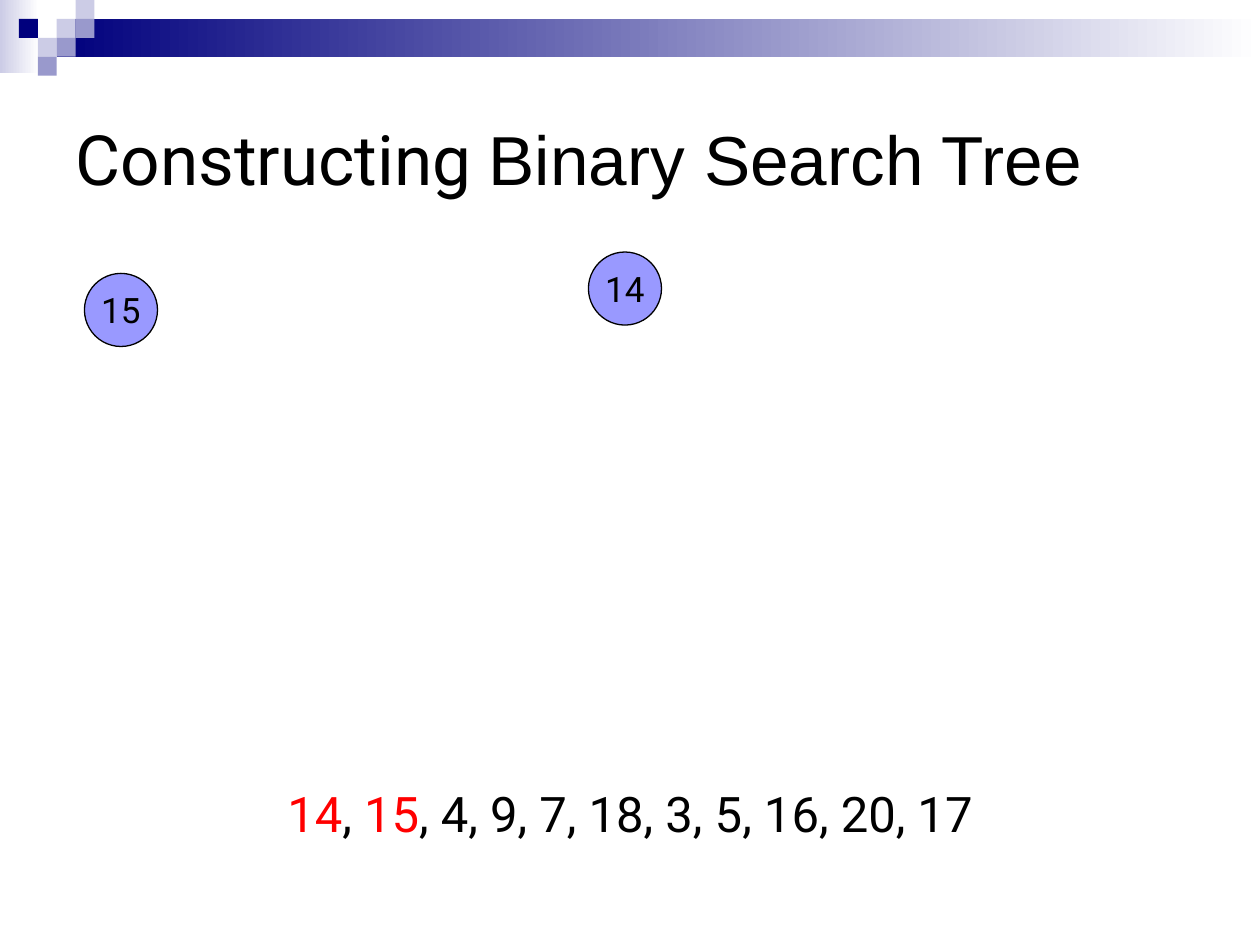
from dataclasses import dataclass

from pptx import Presentation
from pptx import util as u
from pptx.dml.color import RGBColor
from pptx.enum import shapes, text


@dataclass(frozen=True)
class Theme:
    navy: str = "00007D"
    lilac: str = "CCCCE6"
    violet: str = "9999CC"
    node: str = "9999FF"
    ink: str = "000000"
    done: str = "FF0000"
    paper: str = "FFFFFF"
    font: str = "Roboto"
    title_font: str = "Arial"
    title_size: float = 39.6
    list_size: float = 28
    node_size: float = 20


THEME = Theme()
WIDTH, HEIGHT = 10, 7.5
CELL = 0.15
NODE = 0.58

TITLE = [("Constructing ", THEME.ink, THEME.font),
         ("Binary Search Tree", THEME.ink, THEME.title_font)]
KEYS = [14, 15, 4, 9, 7, 18, 3, 5, 16, 20, 17]
INSERTED = 2
NODES = [(14, 4.67, 2), (15, 0.67, 2.17)]
BANDS = [((0, 0, 0.31, 0.58), THEME.lilac),
         ((3 * CELL, CELL, WIDTH - 3 * CELL, 2 * CELL), THEME.navy)]
MOSAIC = [(3, 1, THEME.lilac), (4, 0, THEME.lilac), (4, 1, THEME.violet),
          (2, 2, THEME.lilac), (1, 1, THEME.navy), (3, 2, THEME.violet),
          (2, 3, THEME.violet)]


def rgb(code):
    return RGBColor.from_string(code)


def inches(*lengths):
    return [u.Inches(length) for length in lengths]


def add_figure(page, kind, place, fill, fade=None, line=None):
    shape = page.shapes.add_shape(kind, *inches(*place))
    shape.shadow.inherit = False
    if fade:
        shape.fill.gradient()
        shape.fill.gradient_angle = 0
        for stop, code, position in zip(shape.fill.gradient_stops, (fill, fade), (0, 1)):
            stop.color.rgb = rgb(code)
            stop.position = position
    else:
        shape.fill.solid()
        shape.fill.fore_color.rgb = rgb(fill)
    if line:
        shape.line.color.rgb = rgb(line)
        shape.line.width = u.Pt(0.75)
    else:
        shape.line.fill.background()
    return shape


def write(box, spans, size, align=text.PP_ALIGN.CENTER, anchor=text.MSO_ANCHOR.MIDDLE,
          wrap=True, margin=None):
    frame = box.text_frame
    frame.word_wrap = wrap
    frame.vertical_anchor = anchor
    if margin is not None:
        frame.margin_left = frame.margin_right = u.Inches(margin)
        frame.margin_top = frame.margin_bottom = u.Inches(margin)
    para = frame.paragraphs[0]
    para.alignment = align
    for words, color, font in spans:
        span = para.add_run()
        span.text = words
        span.font.size = u.Pt(size)
        span.font.name = font
        span.font.color.rgb = rgb(color)


def key_spans():
    spans = []
    for key in KEYS[:INSERTED]:
        spans += [(str(key), THEME.done, THEME.font), (", ", THEME.ink, THEME.font)]
    waiting = ", ".join(str(key) for key in KEYS[INSERTED:])
    return spans + [(waiting, THEME.ink, THEME.font)]


def main():
    deck = Presentation()
    deck.slide_width, deck.slide_height = inches(WIDTH, HEIGHT)
    page = deck.slides.add_slide(deck.slide_layouts[5])

    for place, color in BANDS:
        add_figure(page, shapes.MSO_SHAPE.RECTANGLE, place, color, fade=THEME.paper)
    for column, row, color in MOSAIC:
        place = (column * CELL, row * CELL, CELL, CELL)
        add_figure(page, shapes.MSO_SHAPE.RECTANGLE, place, color)

    title = page.shapes.title
    title.left, title.top, title.width, title.height = inches(0.5, 0.5, 9, 1.5)
    write(title, TITLE, THEME.title_size, align=text.PP_ALIGN.LEFT)

    for key, left, top in NODES:
        node = add_figure(page, shapes.MSO_SHAPE.OVAL, (left, top, NODE, NODE),
                          THEME.node, line=THEME.ink)
        write(node, [(str(key), THEME.ink, THEME.font)], THEME.node_size,
              wrap=False, margin=0)

    sequence = page.shapes.add_textbox(*inches(0.5, 6.17, 9, 0.75))
    write(sequence, key_spans(), THEME.list_size, anchor=text.MSO_ANCHOR.TOP)

    deck.save("out.pptx")


if __name__ == "__main__":
    main()
